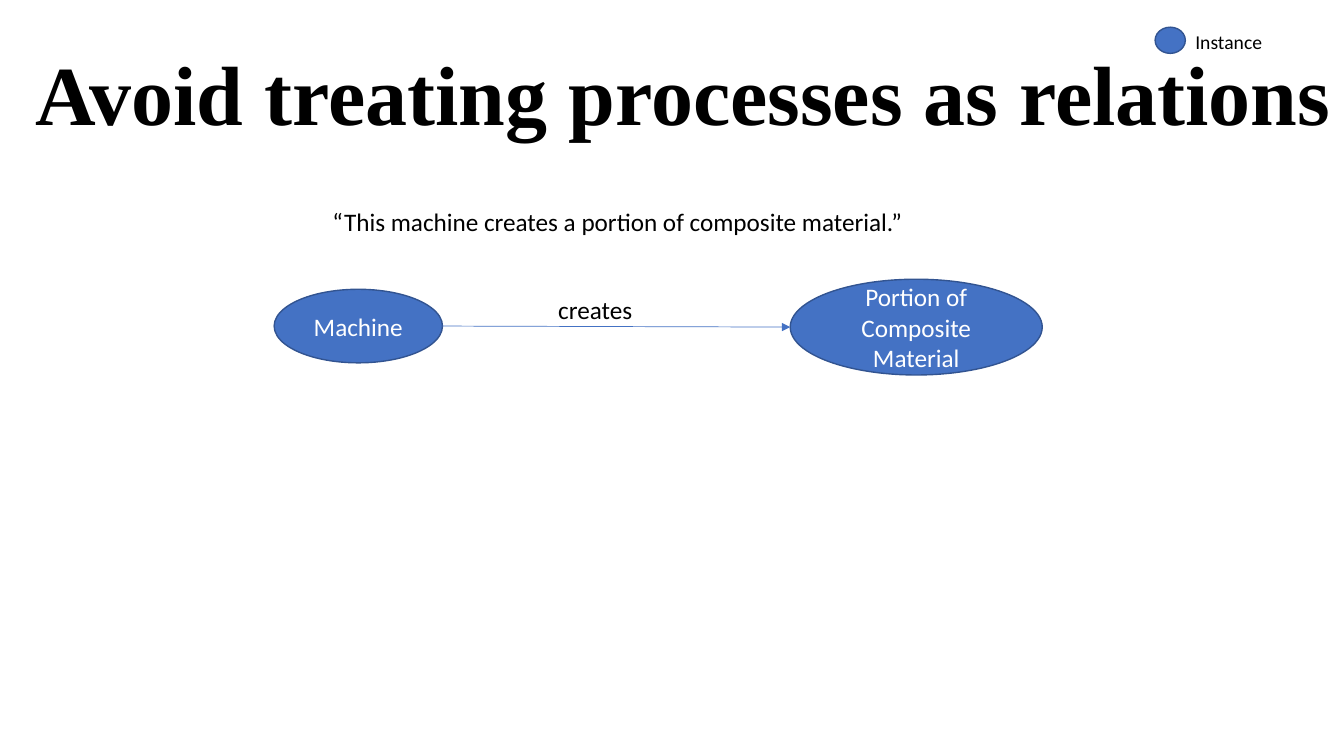
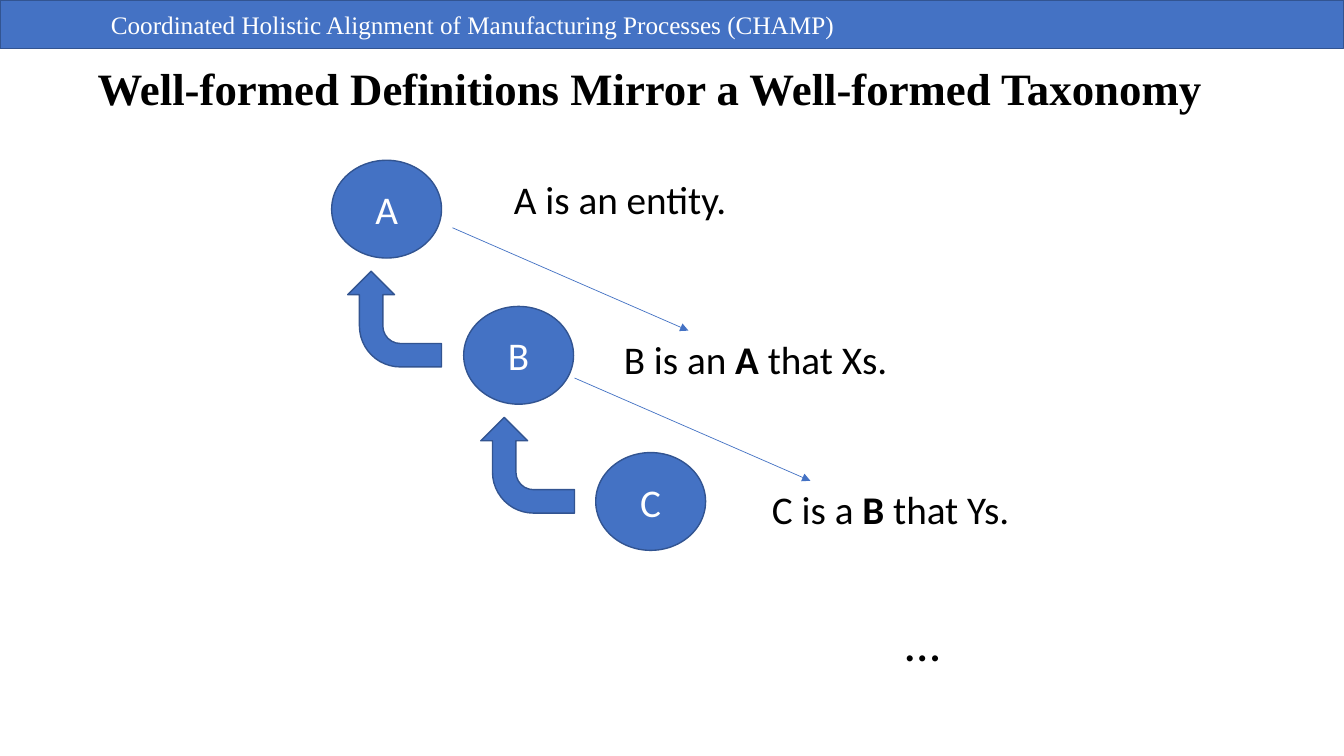
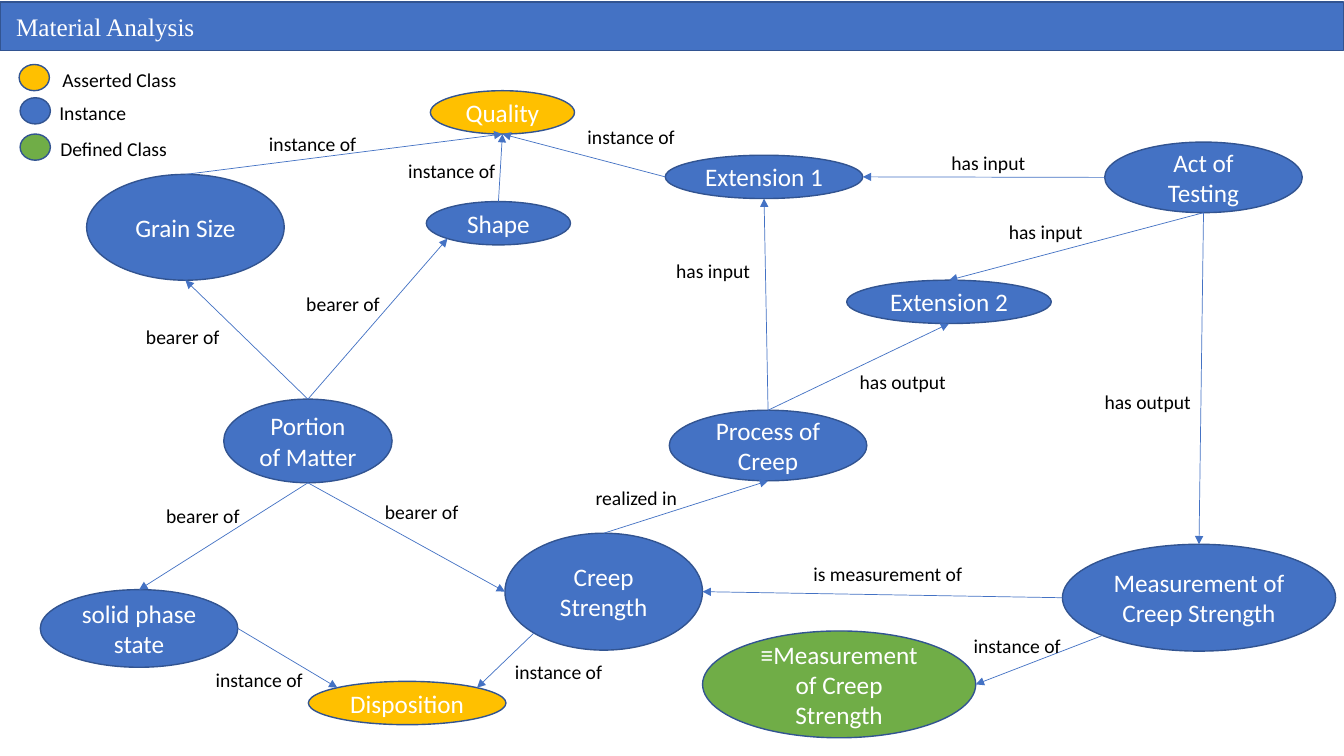
from math import cos, pi, sin

from lxml.etree import SubElement as Sub
from pptx import Presentation
from pptx.dml.color import RGBColor
from pptx.enum.shapes import MSO_CONNECTOR as Wire, MSO_SHAPE as Form
from pptx.enum.text import MSO_AUTO_SIZE as Fit, PP_ALIGN as Align
from pptx.oxml.ns import qn
from pptx.util import Pt

PX = 9144  # 100 px to the inch
BLUE, GOLD, GREEN = "4472C4", "FFC000", "70AD47"
EDGE, WHITE, BLACK = "325491", "FFFFFF", "000000"
SANS, SERIF = "Calibri", "Times New Roman"
tint = RGBColor.from_string


def put(page, box, text="", size=18, form=None, fill=BLUE, font=SANS, bold=False, wrap=True):
    """Add a filled shape, or a text box if no form is given; |bars| mark bold."""
    place = [n * PX for n in box]
    if form is None:
        item = page.shapes.add_textbox(*place)
        item.text_frame.auto_size = Fit.SHAPE_TO_FIT_TEXT
    else:
        item = page.shapes.add_shape(form, *place)
        item.shadow.inherit = False
        item.fill.solid()
        item.fill.fore_color.rgb = tint(fill)
        item.line.color.rgb = tint(EDGE)
        item.line.width = Pt(1)
    item.text_frame.word_wrap = wrap
    if text:
        para = item.text_frame.paragraphs[0]
        for i, part in enumerate(text.split("|")):
            run = para.add_run()
            run.text = part
            run.font.name, run.font.size = font, Pt(size)
            run.font.bold = bold or i % 2 == 1
            run.font.color.rgb = tint(WHITE if form else BLACK)
    return item


def link(page, *ends):
    """Draw an arrow; each end is (x, y) in px or (ellipse, site 0-7 from the top)."""
    spots, glue = [], []
    for tag, (a, b) in zip(("a:stCxn", "a:endCxn"), ends):
        if isinstance(a, int):
            spots += [a * PX, b * PX]
        else:
            turn = b * pi / 4
            spots += [round(a.left + a.width / 2 * (1 - sin(turn))),
                      round(a.top + a.height / 2 * (1 - cos(turn)))]
            glue.append((tag, a.shape_id, b))
    wire = page.shapes.add_connector(Wire.STRAIGHT, *spots)
    wire.line.color.rgb = tint(BLUE)
    wire.line.width = Pt(0.5)
    root = wire._element
    Sub(root.spPr.find(qn("a:ln")), qn("a:tailEnd"), type="triangle")
    Sub(root.spPr, qn("a:effectLst"))
    for tag, num, site in glue:
        Sub(root.nvCxnSpPr.cNvCxnSpPr, qn(tag), id=str(num), idx=str(site))


deck = Presentation()
deck.slide_width, deck.slide_height = 12192000, 6858000
one, two, three = [deck.slides.add_slide(deck.slide_layouts[6]) for _ in range(3)]

# Bands
for page, top, inset, text in [
    (two, 0, 110, "Coordinated Holistic Alignment of Manufacturing Processes (CHAMP)"),
    (three, 2, 16, "Material Analysis"),
]:
    band = put(page, (0, top, 1333, 48), text, form=Form.RECTANGLE, font=SERIF)
    band.text_frame.margin_left = inset * PX
    band.text_frame.paragraphs[0].alignment = Align.LEFT

# Titles
for page, box, size, text in [
    (one, (25, 36, 1308, 111), 60, "Avoid treating processes as relations"),
    (two, (87, 55, 1181, 64), 32, "Well-formed Definitions Mirror a Well-formed Taxonomy"),
]:
    put(page, box, text, size, font=SERIF, bold=True)

# Legends
for page, x, y, gap, wide, text, fill in [
    (one, 1146, 27, 30, 87, "Instance", BLUE),
    (three, 19, 64, 33, 135, "Asserted Class", GOLD),
    (three, 20, 97, 29, 87, "Instance", BLUE),
    (three, 20, 133, 30, 127, "Defined Class", GREEN),
]:
    put(page, (x, y, 30, 26), form=Form.OVAL, fill=fill)
    put(page, (x + gap, y - 2, wide, 34), text, 14, wrap=False)

# Slide 1: a process shown as a relation
maker = put(one, (272, 287, 167, 73), "Machine", form=Form.OVAL)
made = put(one, (784, 277, 250, 95), "Portion of Composite Material", form=Form.OVAL)
link(one, (maker, 6), (made, 2))
put(one, (544, 287, 94, 40), "creates", wrap=False)
put(one, (320, 200, 608, 40), "“This machine creates a portion of composite material.”")

# Slide 2: a taxonomy in steps, with its definitions
for i, name in enumerate("ABC"):
    put(two, (329 + 131 * i, 159 + 145 * i, 109, 97), name, 28, Form.OVAL)
for x, y in [(344, 270), (476, 415)]:
    put(two, (x, y, 95, 93), form=Form.BENT_ARROW).rotation = 270
for x, y, text in [
    (500, 169, "A is an entity."),
    (609, 328, "B is an |A| that Xs."),
    (756, 477, "C is a |B| that Ys."),
]:
    put(two, (x, y, 512, 57), text, 28)
for x, y in [(449, 226), (570, 375)]:
    link(two, (x, y), (x + 234, y + 102))
put(two, (888, 601, 318, 71), "…", 36)

# Slide 3: nodes
node = {}
for key, box, text, fill in [
    ("matter", (222, 396, 167, 83), "Portion of Matter", BLUE),
    ("quality", (427, 90, 143, 43), "Quality", GOLD),
    ("creep", (501, 529, 196, 116), "Creep Strength", BLUE),
    ("shape", (423, 200, 143, 43), "Shape", BLUE),
    ("grain", (86, 173, 196, 105), "Grain Size", BLUE),
    ("trait", (306, 676, 196, 43), "Disposition", GOLD),
    ("solid", (40, 585, 196, 77), "solid phase state", BLUE),
    ("process", (664, 407, 196, 70), "Process of Creep", BLUE),
    ("test", (1096, 141, 196, 70), "Act of Testing", BLUE),
    ("ext1", (660, 154, 196, 43), "Extension 1", BLUE),
    ("ext2", (840, 278, 203, 43), "Extension 2", BLUE),
    ("measure", (1054, 540, 271, 106), "Measurement of Creep Strength", BLUE),
    ("defined", (697, 626, 271, 106), "≡Measurement of Creep Strength", GREEN),
]:
    node[key] = put(three, box, text, form=Form.OVAL, fill=fill)

# Slide 3: arrows from site to site
for a, i, b, j in [
    ("matter", 4, "creep", 2), ("matter", 4, "solid", 0),
    ("matter", 0, "grain", 4), ("matter", 0, "shape", 3),
    ("grain", 0, "quality", 4), ("shape", 0, "quality", 4),
    ("ext1", 2, "quality", 4), ("creep", 3, "trait", 7),
    ("solid", 6, "trait", 1), ("creep", 0, "process", 4),
    ("process", 0, "ext1", 4), ("process", 0, "ext2", 4),
    ("test", 4, "ext2", 0), ("test", 2, "ext1", 6),
    ("test", 4, "measure", 0), ("measure", 2, "creep", 6),
    ("measure", 3, "defined", 6),
]:
    link(three, (node[a], i), (node[b], j))

# Slide 3: relation names
for text, wide, spots in [
    ("instance of", 108, [(257, 126), (204, 658), (501, 650), (573, 119), (395, 153), (956, 624)]),
    ("bearer of", 94, [(135, 317), (294, 285), (372, 491), (155, 495)]),
    ("has input", 94, [(661, 252), (991, 213), (934, 145)]),
    ("has output", 107, [(843, 362), (1086, 382)]),
    ("realized in", 102, [(581, 477)]),
    ("is measurement of", 169, [(797, 553)]),
]:
    for x, y in spots:
        put(three, (x, y, wide, 34), text, 14, wrap=False)

deck.save("out.pptx")
